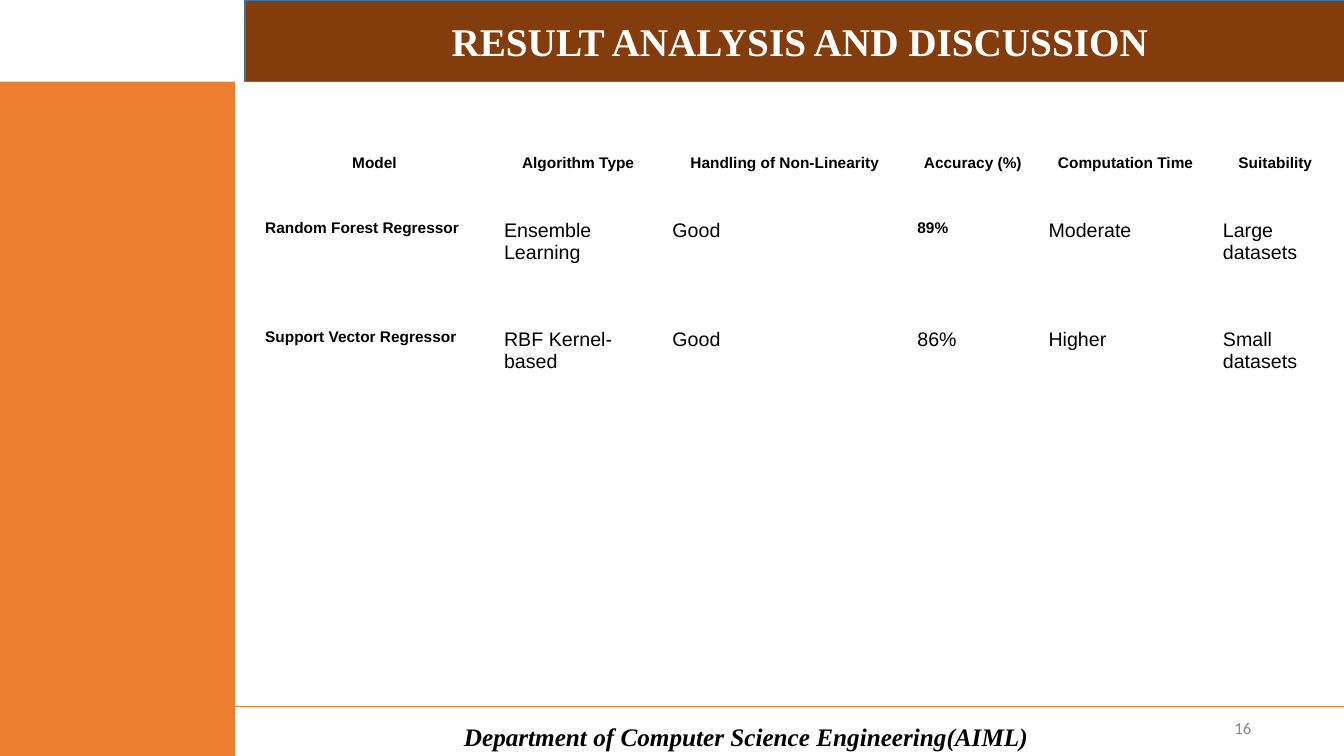
from pptx import Presentation
from pptx.dml.color import RGBColor
from pptx.enum.shapes import MSO_CONNECTOR, MSO_SHAPE
from pptx.enum.text import MSO_ANCHOR, MSO_AUTO_SIZE, PP_ALIGN
from pptx.oxml.ns import qn
from pptx.util import Inches, Pt
from lxml import etree

STRAIGHT = MSO_CONNECTOR.STRAIGHT
RECTANGLE = MSO_SHAPE.RECTANGLE
MIDDLE = MSO_ANCHOR.MIDDLE
NO_AUTOFIT = MSO_AUTO_SIZE.NONE
CENTER, LEFT, RIGHT = PP_ALIGN.CENTER, PP_ALIGN.LEFT, PP_ALIGN.RIGHT
ORANGE, BROWN, BLACK = "ED7D31", "833C0B", "000000"


def color(value):
    return RGBColor.from_string(value)


def write(frame, text, name, size, ink, align, bold=False, italic=False):
    frame.word_wrap = True
    para = frame.paragraphs[0]
    para.text = text
    para.alignment = align
    font = para.font
    font.name, font.size, font.bold, font.italic = name, Pt(size), bold, italic
    font.color.rgb = color(ink)
    return para


deck = Presentation()
deck.slide_width, deck.slide_height = Inches(13.33), Inches(7.5)
page = deck.slides.add_slide(deck.slide_layouts[5])

# Footer rule, running behind the side panel
rule = page.shapes.add_connector(STRAIGHT, 0, Inches(7.01), Inches(13.33), Inches(7.01))
rule.line.color.rgb = color(ORANGE)
rule.line.width = Pt(0.75)
etree.SubElement(rule._element.spPr, qn("a:effectLst"))

# Side panel
panel = page.shapes.add_shape(RECTANGLE, 0, Inches(0.81), Inches(2.33), Inches(6.69))
panel.shadow.inherit = False
panel.fill.solid()
panel.fill.fore_color.rgb = color(ORANGE)
panel.line.fill.background()

# Title banner
title = page.shapes.title
title.left, title.top = Inches(2.43), 0
title.width, title.height = Inches(11), Inches(0.81)
title.fill.solid()
title.fill.fore_color.rgb = color(BROWN)
title.line.color.rgb = color("42719B")
title.line.width = Pt(1)
title.text_frame.auto_size = NO_AUTOFIT
title.text_frame.vertical_anchor = MIDDLE
write(title.text_frame, "RESULT ANALYSIS AND DISCUSSION",
      "Times New Roman", 28, "FFFFFF", CENTER, bold=True)

# Page number and department line
number = page.shapes.add_textbox(Inches(9.51), Inches(7.02), Inches(3), Inches(0.4))
number.text_frame.vertical_anchor = MIDDLE
write(number.text_frame, "16", "Calibri", 12, "888888", RIGHT)

department = page.shapes.add_textbox(Inches(3.78), Inches(7.19), Inches(7.24), Inches(0.23))
department.text_frame.vertical_anchor = MIDDLE
write(department.text_frame, "Department of Computer Science Engineering(AIML)",
      "Times New Roman", 18, BLACK, CENTER, bold=True, italic=True)

# Model comparison table
column_widths = [2.37, 1.67, 2.43, 1.3, 1.73, 1.24]
row_heights = [0.67, 1.08, 0.48]
models = [
    ["Model", "Algorithm Type", "Handling of Non-Linearity", "Accuracy (%)",
     "Computation Time", "Suitability"],
    ["Random Forest Regressor", "Ensemble Learning", "Good", "89%", "Moderate", "Large datasets"],
    ["Support Vector Regressor", "RBF Kernel-based", "Good", "86%", "Higher", "Small datasets"],
]
best_accuracy = "89%"
table = page.shapes.add_table(
    len(models), len(column_widths), Inches(2.53), Inches(1.41),
    Inches(sum(column_widths)), Inches(sum(row_heights))).table
table.first_row = table.horz_banding = False
for column, width in zip(table.columns, column_widths):
    column.width = Inches(width)
for row_index, (row, height, values) in enumerate(zip(table.rows, row_heights, models)):
    row.height = Inches(height)
    header = row_index == 0
    for column_index, (cell, value) in enumerate(zip(row.cells, values)):
        cell.fill.background()
        cell.margin_left = cell.margin_right = Inches(0.1)
        cell.margin_top = cell.margin_bottom = Inches(0.1)
        strong = header or column_index == 0 or value == best_accuracy
        para = write(cell.text_frame, value, "Arial", 11 if strong else 14, BLACK,
                     CENTER if header else LEFT, bold=strong)
        if header:
            para.line_spacing = 1.15

deck.save("out.pptx")
